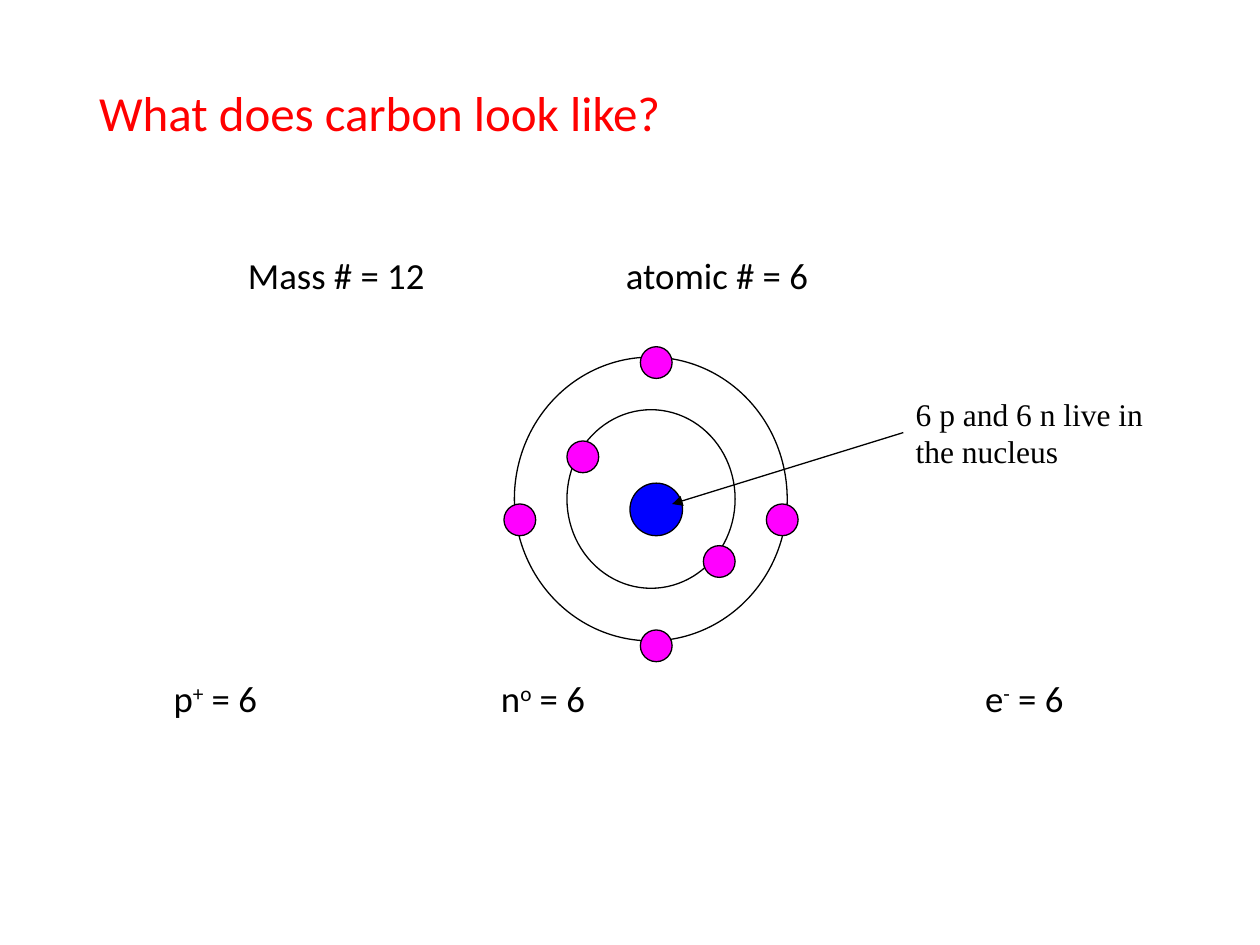
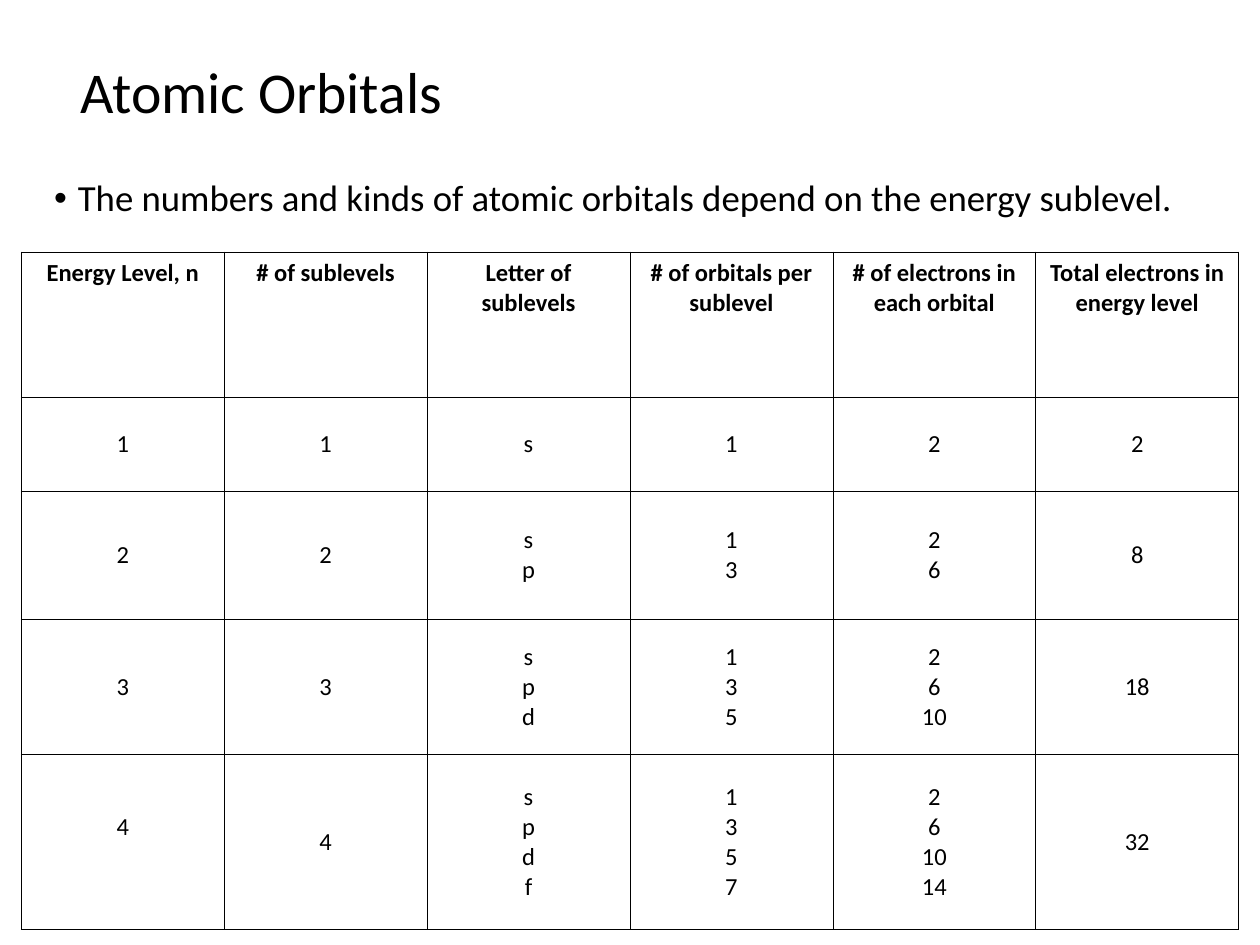
from dataclasses import dataclass
from typing import NamedTuple

from lxml.etree import SubElement as Sub
from pptx import Presentation
from pptx.dml.color import RGBColor as Rgb
from pptx.enum.shapes import MSO_CONNECTOR as Link, MSO_SHAPE as Kind
from pptx.enum.text import MSO_ANCHOR as Anchor, PP_ALIGN as Align
from pptx.oxml.ns import qn
from pptx.util import Cm, Pt

# Shared look
BLACK, RED, BLUE, PINK = "000000", "FF0000", "0000FF", "FF00FF"
SANS, SERIF = "Calibri", "Times New Roman"
THIN = 0.75
BODY = 21


class Box(NamedTuple):
    left: float
    top: float
    width: float
    height: float

    def emu(self) -> list:
        return [Cm(n) for n in self]


@dataclass
class Style:
    size: float
    name: str = SANS
    color: str = BLACK
    bold: bool = False


@dataclass
class Disc:
    box: Box
    fill: str = ""


def tint(code: str) -> Rgb:
    return Rgb.from_string(code)


def apply(item, form: dict) -> None:
    for key, value in form.items():
        setattr(item, key, value)


def dress(run, style: Style) -> None:
    apply(run.font, {"size": Pt(style.size), "name": style.name, "bold": style.bold})
    run.font.color.rgb = tint(style.color)


def write(para, text: str, style: Style) -> None:
    """Add text to a paragraph; parts between ^ marks are raised."""
    for i, part in enumerate(text.split("^")):
        run = para.add_run()
        run.text = part
        dress(run, style)
        if i % 2:
            run.font._element.set("baseline", "30000")


def add_text(slide, box: Box, text: str, style: Style, frame: dict = {}, para: dict = {}):
    shape = slide.shapes.add_textbox(*box.emu())
    apply(shape.text_frame, {"word_wrap": True, **frame})
    first = shape.text_frame.paragraphs[0]
    apply(first, para)
    write(first, text, style)
    return shape


def add_title(slide, left: float, top: float, text: str, style: Style, foot: float = 0.13) -> None:
    frame = {"vertical_anchor": Anchor.MIDDLE, "margin_bottom": Cm(foot)}
    add_text(slide, Box(left, top, 21.9, 3.68), text, style, frame, {"line_spacing": 0.9})


def set_tabs(para, stops: list[float]) -> None:
    tabs = Sub(para._p.get_or_add_pPr(), qn("a:tabLst"))
    for stop in stops:
        Sub(tabs, qn("a:tab"), pos=str(Cm(stop)), algn="l")


def add_disc(slide, disc: Disc) -> None:
    shape = slide.shapes.add_shape(Kind.OVAL, *disc.box.emu())
    shape.shadow.inherit = False
    if disc.fill:
        shape.fill.solid()
        shape.fill.fore_color.rgb = tint(disc.fill)
    else:
        shape.fill.background()
    shape.line.color.rgb = tint(BLACK)
    shape.line.width = Pt(THIN)


def add_arrow(slide, start, side: int, x: float, y: float) -> None:
    line = slide.shapes.add_connector(Link.STRAIGHT, 0, 0, Cm(x), Cm(y))
    line.begin_connect(start, side)
    line.line.color.rgb = tint(BLACK)
    line.line.width = Pt(THIN)
    Sub(line.line._get_or_add_ln(), qn("a:tailEnd"), type="triangle")
    Sub(line._element.spPr, qn("a:effectLst"))


def frame_cell(cell) -> None:
    props = cell._tc.get_or_add_tcPr()
    for side in ("lnL", "lnR", "lnT", "lnB"):
        edge = Sub(props, qn(f"a:{side}"), w=str(Pt(0.45)))
        fill = Sub(edge, qn("a:solidFill"))
        Sub(fill, qn("a:srgbClr"), val=BLACK)
    cell.fill.background()


def fill_cell(cell, text: str, style: Style, anchor) -> None:
    frame_cell(cell)
    cell.vertical_anchor = anchor
    cell.text = text
    for para in cell.text_frame.paragraphs:
        para.alignment = Align.CENTER
        for run in para.runs:
            dress(run, style)


def draw_atom(slide) -> None:
    add_title(slide, 1.75, 1.02, "What does carbon look like?", Style(28, color=RED), foot=1.2)

    # Counts above and below the atom
    style = Style(BODY)
    counts = add_text(slide, Box(1.75, 5.08, 21.92, 12.09),
                      "\tMass # = 12\tatomic # = 6", style, para={"line_spacing": 0.9})
    upper = counts.text_frame.paragraphs[0]
    set_tabs(upper, [3.0, 10.62])
    lower = counts.text_frame.add_paragraph()
    apply(lower, {"line_spacing": 0.9, "space_before": Pt(219)})
    set_tabs(lower, [1.5, 8.1, 17.86])
    write(lower, "\tp^+^ = 6\tn^o^ = 6\te^-^ = 6", style)

    # Nucleus and shells
    for disc in (
        Disc(Box(12.7, 9.74, 1.06, 1.06), BLUE),
        Disc(Box(10.37, 7.2, 5.5, 5.72)),
        Disc(Box(11.43, 8.26, 3.39, 3.6)),
    ):
        add_disc(slide, disc)

    # Callout
    note = add_text(slide, Box(18.21, 7.83, 5.29, 1.78),
                    "6 p and 6 n live in the nucleus", Style(18, SERIF))
    add_arrow(slide, note, 1, 13.55, 10.16)

    # Electrons: two inner, four outer
    for left, top in ((11.43, 8.89), (14.18, 11), (12.91, 6.99),
                      (12.91, 12.7), (10.16, 10.16), (15.45, 10.16)):
        add_disc(slide, Disc(Box(left, top, 0.64, 0.64), PINK))


def draw_table(slide) -> None:
    add_title(slide, 1.37, 0.08, "Atomic Orbitals", Style(33))

    # Bullet line
    body = add_text(slide, Box(0.84, 3.5, 24.56, 2.74),
                    "The numbers and kinds of atomic orbitals depend on the energy sublevel.",
                    Style(BODY), para={"line_spacing": 0.9})
    props = body.text_frame.paragraphs[0]._p.get_or_add_pPr()
    apply_xml = {"marL": Cm(0.48), "indent": -Cm(0.48)}
    for key, value in apply_xml.items():
        props.set(key, str(value))
    Sub(props, qn("a:buFont"), typeface="Arial")
    Sub(props, qn("a:buChar"), char="•")

    # Orbital counts follow from the level number
    heads = ["Energy Level, n", "# of sublevels", "Letter of sublevels",
             "# of orbitals per sublevel", "# of electrons in each orbital",
             "Total electrons in energy level"]
    rows = [heads]
    for n in range(1, 5):
        odds = [2 * k + 1 for k in range(n)]
        rows.append([str(n), str(n), "\n".join("spdf"[:n]),
                     "\n".join(str(k) for k in odds),
                     "\n".join(str(2 * k) for k in odds), str(2 * n * n)])

    highs = [2.92, 1.9, 2.59, 2.72, 3.53]
    wide = 4.09
    box = Box(0.43, 5.08, wide * len(heads), sum(highs))
    table = slide.shapes.add_table(len(rows), len(heads), *box.emu()).table
    apply(table, {"first_row": False, "horz_banding": False})
    for col in table.columns:
        col.width = Cm(wide)
    for r, (row, high) in enumerate(zip(rows, highs)):
        table.rows[r].height = Cm(high)
        anchor = Anchor.MIDDLE if r else Anchor.TOP
        for c, text in enumerate(row):
            fill_cell(table.cell(r, c), text, Style(14, bold=not r), anchor)
    table.cell(4, 0).margin_bottom = Cm(0.73)


def main() -> None:
    deck = Presentation()
    apply(deck, {"slide_width": Cm(25.4), "slide_height": Cm(19.05)})
    for draw in (draw_atom, draw_table):
        draw(deck.slides.add_slide(deck.slide_layouts[6]))
    deck.save("out.pptx")


if __name__ == "__main__":
    main()
